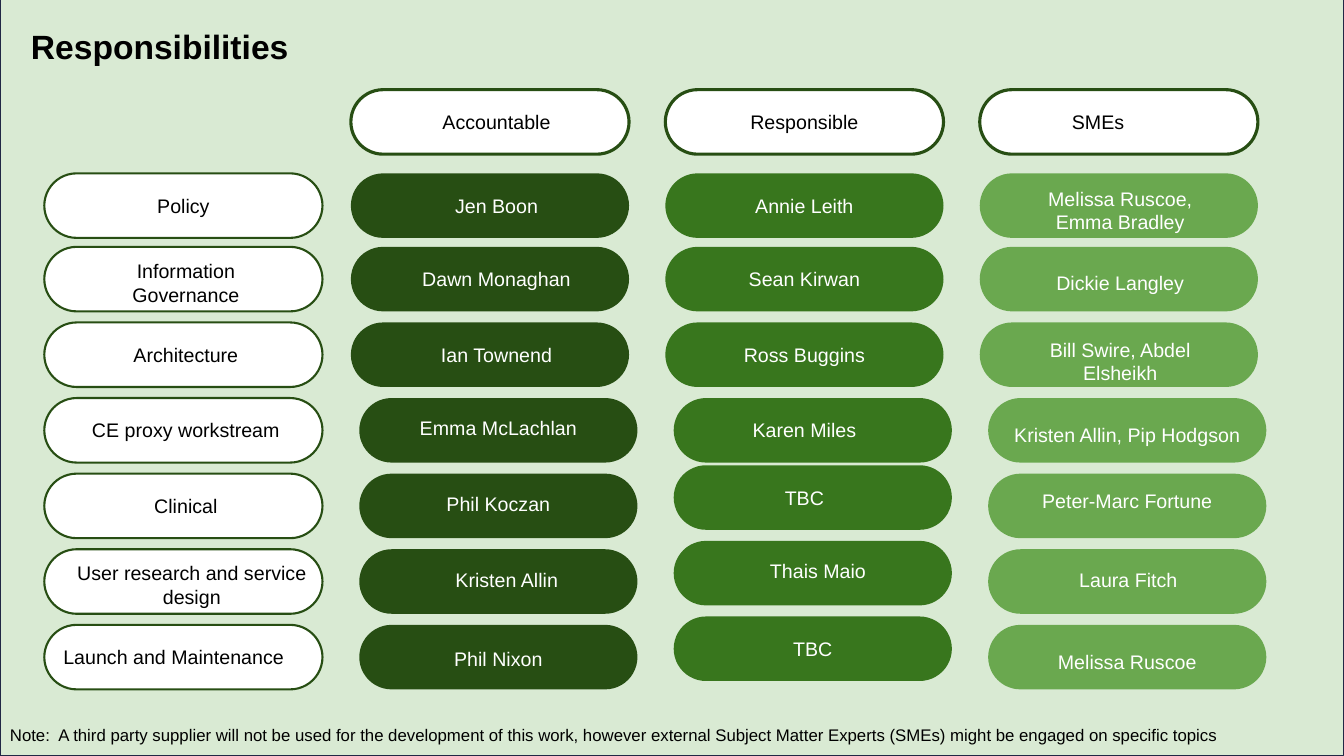
from pptx import Presentation
from pptx.dml.color import RGBColor
from pptx.enum.shapes import MSO_SHAPE
from pptx.enum.text import MSO_ANCHOR, PP_ALIGN
from pptx.util import Pt

RECTANGLE, PILL = MSO_SHAPE.RECTANGLE, MSO_SHAPE.ROUNDED_RECTANGLE
TOP, BOTTOM = MSO_ANCHOR.TOP, MSO_ANCHOR.BOTTOM
LEFT, CENTER = PP_ALIGN.LEFT, PP_ALIGN.CENTER

# Content: each label is (text, box width, shift right, shift down) in points,
# the shifts being measured from the centre of its grid cell
TITLE = "Responsibilities"
NOTE = ("Note:  A third party supplier will not be used for the development of "
        "this work, however external Subject Matter Experts (SMEs) might be "
        "engaged on specific topics")
NARROW, MEDIUM, WIDE = 124.6, 157.7, 180.7
HEADER = [
    None,
    ("Accountable", NARROW, 4.7, 0),
    ("Responsible", NARROW, 0, 0),
    ("SMEs", NARROW, -14.8, 0),
]
ROWS = [
    [("Policy", 85.7, 0, 0), ("Jen Boon", NARROW, 4.7, 0),
     ("Annie Leith", NARROW, 0, 0), ("Melissa Ruscoe, Emma Bradley", NARROW, 1, 3.2)],
    [("Information Governance", NARROW, 1.8, 2.5), ("Dawn Monaghan", NARROW, 4.7, 0),
     ("Sean Kirwan", NARROW, 0, 0), ("Dickie Langley", NARROW, 1, 3)],
    [("Architecture", NARROW, 1.8, 0), ("Ian Townend", NARROW, 4.7, 0),
     ("Ross Buggins", NARROW, 0, 0), ("Bill Swire, Abdel Elsheikh", NARROW, 1, 4.7)],
    [("CE proxy workstream", 149, 1.8, 0), ("Emma McLachlan", MEDIUM, 6, -1.4),
     ("Karen Miles", NARROW, 0, 0), ("Kristen Allin, Pip Hodgson", WIDE, 6, 3)],
    [("Clinical", NARROW, 1.8, 0), ("Phil Koczan", MEDIUM, 6, -1.4),
     ("TBC", NARROW, 0, -5.8), ("Peter-Marc Fortune", WIDE, 6, -3.6)],
    [("User research and service design", WIDE, 6, 2.5), ("Kristen Allin", MEDIUM, 12, -1.4),
     ("Thais Maio", MEDIUM, 9.7, -7.2), ("Laura Fitch", MEDIUM, 6.8, -1.4)],
    [("Launch and Maintenance", WIDE, -2.5, 0), ("Phil Nixon", MEDIUM, 6, 1.4),
     ("TBC", MEDIUM, 6, -5.8), ("Melissa Ruscoe", MEDIUM, 6, 3.6)],
]
TWO_LINES = {"Information Governance", "User research and service design",
             "Melissa Ruscoe, Emma Bradley", "Bill Swire, Abdel Elsheikh"}
LEFT_ALIGNED = {"Launch and Maintenance"}

THEME = {
    "font": "Arial", "title": 24, "label": 14, "note": 12,
    "page": "D9EAD3", "frame": "212745", "outline": "274E13",
    "black": "000000", "white": "FFFFFF",
    "columns": ["FFFFFF", "274E13", "38761D", "6AA84F"],
}

# Grid, in points
PAGE_WIDTH, PAGE_HEIGHT = 960, 540
PILL_WIDTH, PILL_HEIGHT = 198.7, 46.1
COLUMN_CENTERS = [131] + [350 + 224.6 * i for i in range(3)]
HEADER_CENTER = 87.1
ROW_CENTERS = [146.9] + [199.4 + 54 * i for i in range(6)]
SHIFTED_FROM, LIFTED_FROM = 3, 4  # first row set right / first Responsible pill set up
STAGGER = 6
PADDING = 7.2
ONE_LINE, TWO_LINE = 31.7, 48.2


def color(code):
    return RGBColor.from_string(code)


def add_block(page, kind, left, top, width, height, fill, line=None, weight=0):
    block = page.shapes.add_shape(kind, Pt(left), Pt(top), Pt(width), Pt(height))
    block.shadow.inherit = False
    block.fill.solid()
    block.fill.fore_color.rgb = color(fill)
    if line:
        block.line.color.rgb = color(line)
        block.line.width = Pt(weight)
    else:
        block.line.fill.background()
    return block


def add_text(page, text, left, top, width, height, size, ink,
             align=LEFT, anchor=TOP, bold=False):
    box = page.shapes.add_textbox(Pt(left), Pt(top), Pt(width), Pt(height))
    frame = box.text_frame
    frame.word_wrap = True
    frame.vertical_anchor = anchor
    frame.margin_left = frame.margin_right = Pt(PADDING)
    frame.margin_top = frame.margin_bottom = Pt(PADDING)
    para = frame.paragraphs[0]
    para.alignment = align
    span = para.add_run()
    span.text = text
    span.font.name = THEME["font"]
    span.font.size = Pt(size)
    span.font.bold = bold
    span.font.color.rgb = color(ink)


def add_pill(page, center_x, center_y, fill, line=None, weight=0):
    pill = add_block(page, PILL, center_x - PILL_WIDTH / 2, center_y - PILL_HEIGHT / 2,
                     PILL_WIDTH, PILL_HEIGHT, fill, line, weight)
    pill.adjustments[0] = 0.5


def add_label(page, label, center_x, center_y, ink):
    text, width, right, down = label
    height = TWO_LINE if text in TWO_LINES else ONE_LINE
    align = LEFT if text in LEFT_ALIGNED else CENTER
    add_text(page, text, center_x + right - width / 2, center_y + down - height / 2,
             width, height, THEME["label"], ink, align)


def main():
    deck = Presentation()
    deck.slide_width, deck.slide_height = Pt(PAGE_WIDTH), Pt(PAGE_HEIGHT)
    page = deck.slides.add_slide(deck.slide_layouts[6])

    # Background and title
    add_block(page, RECTANGLE, 0, 0, PAGE_WIDTH, PAGE_HEIGHT,
              THEME["page"], THEME["frame"], 0.75)
    add_text(page, TITLE, 15, -2.2, 720, 57, THEME["title"], THEME["black"],
             anchor=BOTTOM, bold=True)

    # Column headings
    for center_x, label in zip(COLUMN_CENTERS, HEADER):
        if label:
            add_pill(page, center_x, HEADER_CENTER, THEME["white"], THEME["outline"], 2.25)
            add_label(page, label, center_x, HEADER_CENTER, THEME["black"])

    # Workstreams and the people for each
    for row, (center_y, labels) in enumerate(zip(ROW_CENTERS, ROWS)):
        for column, (center_x, label) in enumerate(zip(COLUMN_CENTERS, labels)):
            fill = THEME["columns"][column]
            if column == 0:
                add_pill(page, center_x, center_y, fill, THEME["outline"], 1.5)
                add_label(page, label, center_x, center_y, THEME["black"])
                continue
            right = STAGGER if row >= SHIFTED_FROM else 0
            up = STAGGER if column == 2 and row >= LIFTED_FROM else 0
            add_pill(page, center_x + right, center_y - up, fill)
            add_label(page, label, center_x, center_y, THEME["white"])

    # Footnote
    add_text(page, NOTE, 0, 510.5, PAGE_WIDTH, 29, THEME["note"], THEME["black"])

    deck.save("out.pptx")


if __name__ == "__main__":
    main()
